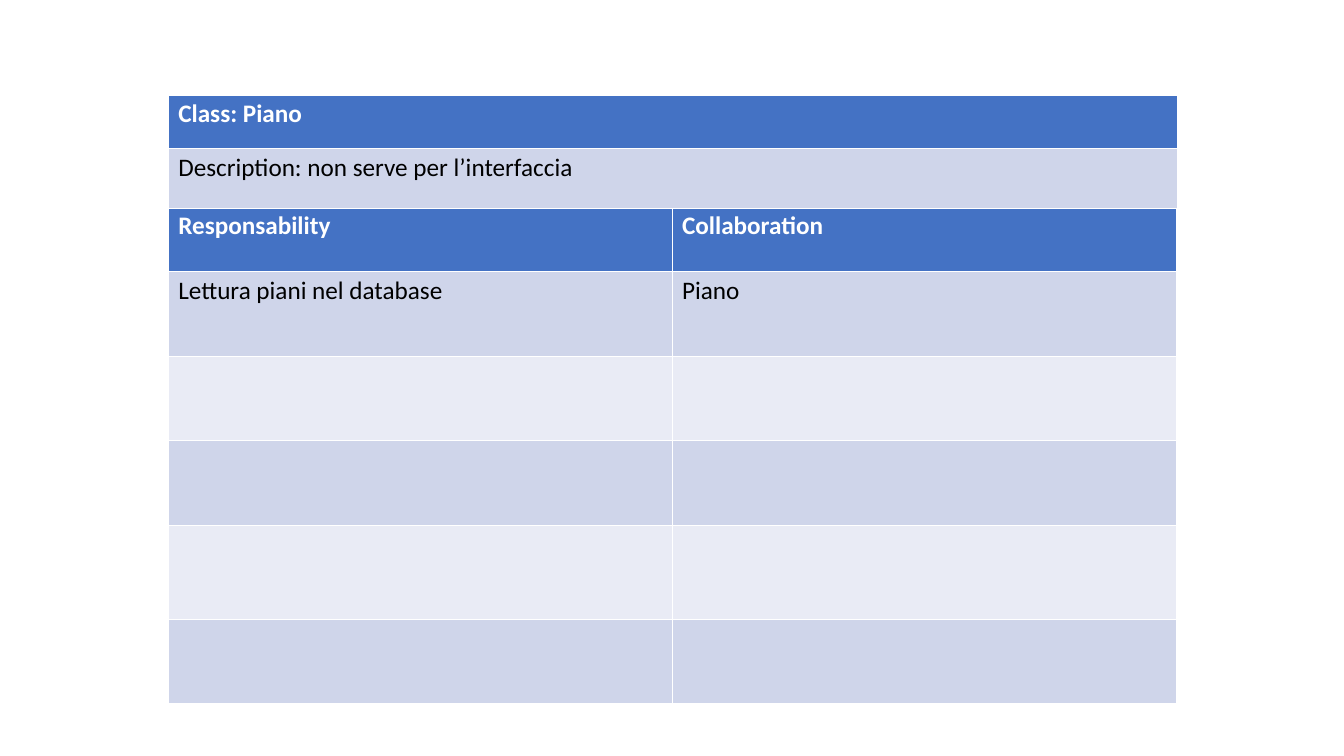
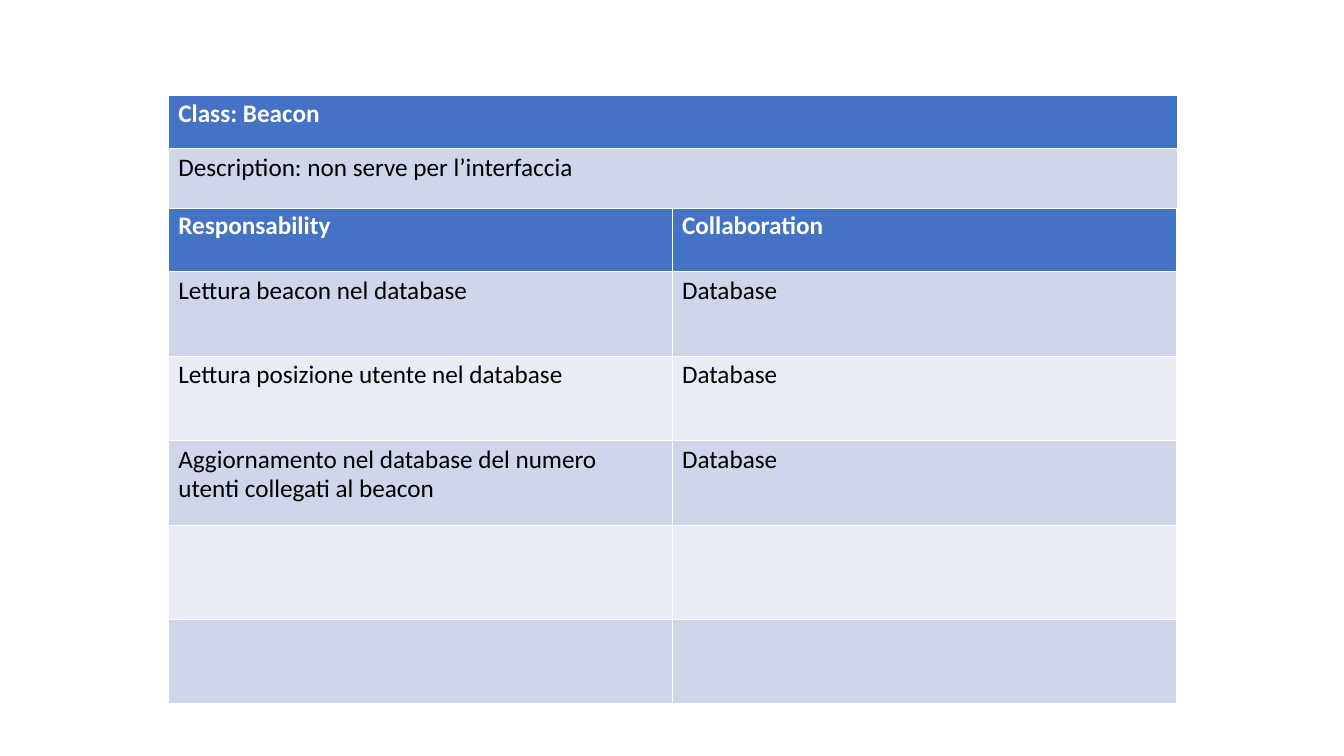
from lxml import etree
from pptx import Presentation
from pptx.dml.color import RGBColor
from pptx.oxml.ns import qn
from pptx.util import Inches, Pt

BLUE = RGBColor(0x44, 0x72, 0xC4)
DARK_BAND = RGBColor(0xCF, 0xD5, 0xEA)
LIGHT_BAND = RGBColor(0xE9, 0xEB, 0xF5)
WHITE = RGBColor(0xFF, 0xFF, 0xFF)
BLACK = RGBColor(0x00, 0x00, 0x00)

FONT = "Calibri"
BLANK_LAYOUT = 6
TABLE_LEFT = 1.67
THIN, THICK = Pt(0.06), Pt(0.17)

CLASS_ROWS = [0.53, 0.59]
DUTY_ROWS = [0.64, 0.84, 0.84, 0.84, 0.93, 0.84]
DESCRIPTION = "Description: non serve per l’interfaccia"

CARDS = [
    ("Class: Piano", [("Lettura piani nel database", "Piano")]),
    ("Class: Beacon", [
        ("Lettura beacon nel database", "Database"),
        ("Lettura posizione utente nel database", "Database"),
        ("Aggiornamento nel database del numero utenti collegati al beacon",
         "Database"),
    ]),
]


def write_text(frame, text, color=BLACK, bold=False, size=18):
    para = frame.paragraphs[0]
    para.line_spacing = 0.94
    span = para.add_run()
    span.text = text
    span.font.name = FONT
    span.font.size = Pt(size)
    span.font.bold = bold
    span.font.color.rgb = color


def set_borders(cell, top, bottom):
    """Give the cell white edges; the side edges are always thin."""
    properties = cell._tc.get_or_add_tcPr()
    for edge, width in (("L", THIN), ("R", THIN), ("T", top), ("B", bottom)):
        line = etree.SubElement(properties, qn(f"a:ln{edge}"), w=str(int(width)))
        fill = etree.SubElement(line, qn("a:solidFill"))
        etree.SubElement(fill, qn("a:srgbClr"), val=str(WHITE))


def add_banded_table(page, top, widths, heights, rows):
    """Add a table with a blue first row; rows without text stay empty."""
    frame = page.shapes.add_table(
        len(heights), len(widths), Inches(TABLE_LEFT), Inches(top),
        Inches(sum(widths)), Inches(sum(heights)))
    table = frame.table
    for column, width in zip(table.columns, widths):
        column.width = Inches(width)
    for index, height in enumerate(heights):
        table.rows[index].height = Inches(height)
        header = index == 0
        band = DARK_BAND if index % 2 else LIGHT_BAND
        texts = rows[index] if index < len(rows) else [""] * len(widths)
        for column, text in enumerate(texts):
            cell = table.cell(index, column)
            set_borders(cell, top=THICK if index == 1 else THIN,
                        bottom=THICK if header else THIN)
            cell.fill.solid()
            cell.fill.fore_color.rgb = BLUE if header else band
            if text:
                write_text(cell.text_frame, text, bold=header,
                           color=WHITE if header else BLACK)


def add_card(deck, class_name, duties):
    page = deck.slides.add_slide(deck.slide_layouts[BLANK_LAYOUT])
    add_banded_table(page, 2.05, [5, 5], DUTY_ROWS,
                     [("Responsability", "Collaboration"), *duties])
    add_banded_table(page, 0.94, [10.01], CLASS_ROWS,
                     [(class_name,), (DESCRIPTION,)])


def main():
    deck = Presentation()
    deck.slide_width = Inches(13.34)
    deck.slide_height = Inches(7.5)
    for class_name, duties in CARDS:
        add_card(deck, class_name, duties)
    deck.save("out.pptx")


if __name__ == "__main__":
    main()
